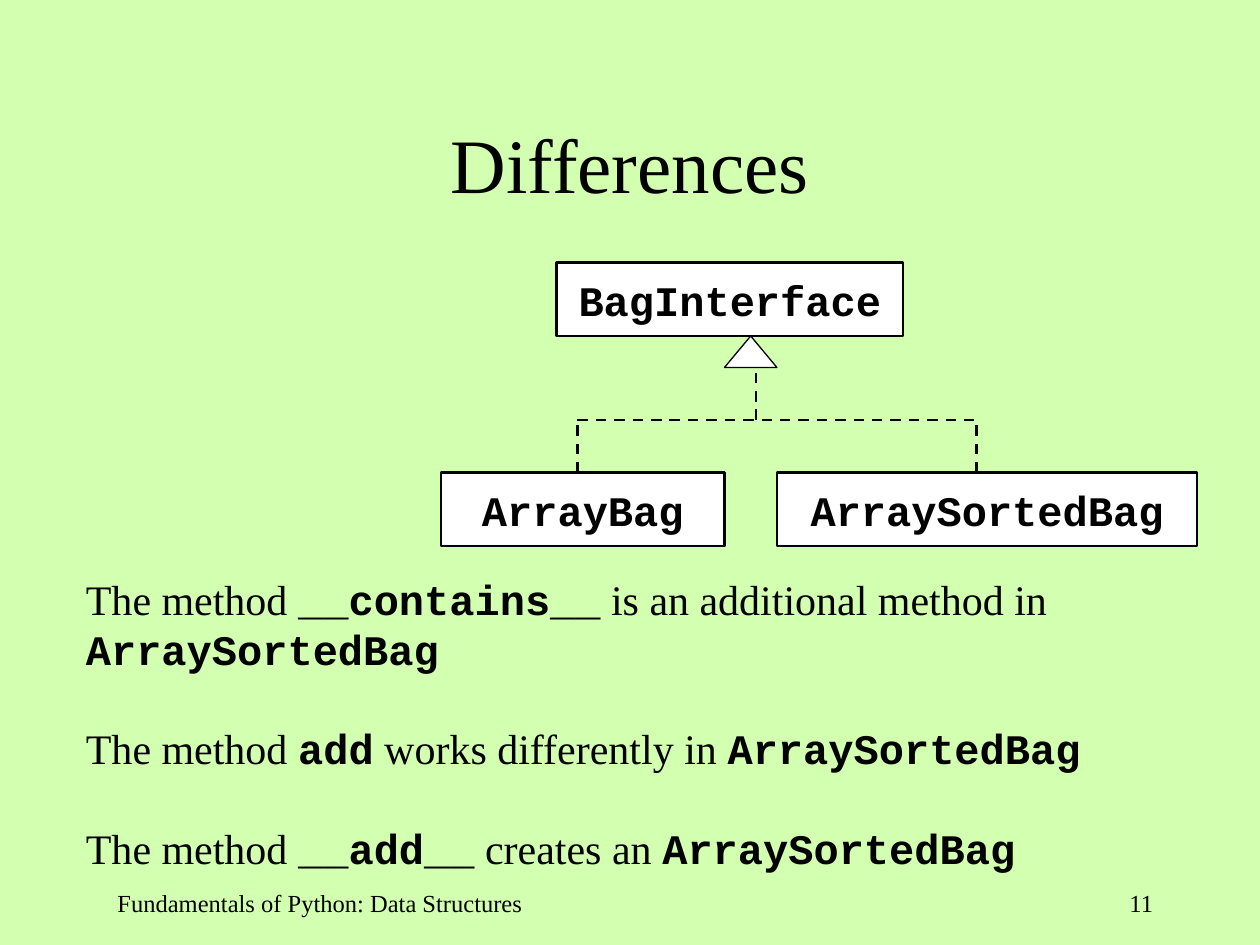
from dataclasses import dataclass
from typing import Any

from lxml.etree import SubElement
from pptx import Presentation
from pptx.dml.color import RGBColor
from pptx.enum.dml import MSO_LINE
from pptx.enum.shapes import MSO_CONNECTOR, MSO_SHAPE
from pptx.enum.text import MSO_ANCHOR, PP_ALIGN
from pptx.oxml.ns import qn
from pptx.util import Inches, Pt


@dataclass(frozen=True)
class Theme:
    back: RGBColor = RGBColor(0xD2, 0xFF, 0xB0)
    ink: RGBColor = RGBColor(0, 0, 0)
    paper: RGBColor = RGBColor(255, 255, 255)
    serif: str = "Times New Roman"
    mono: str = "Courier New"
    head: int = 44
    body: int = 24
    foot: int = 14
    gap: int = 28
    thin: float = 0.75
    thick: float = 1.5


@dataclass
class Page:
    """A slide on a grid of twelve cells to the inch."""
    slide: Any
    theme: Theme

    def cells(self, *marks):
        return [Inches(mark / 12) for mark in marks]

    def style(self, run, size, code=False):
        font = run.font
        font.size = Pt(size)
        font.name = self.theme.mono if code else self.theme.serif
        font.bold = code
        font.color.rgb = self.theme.ink

    def text(self, area, lines, size, align=PP_ALIGN.LEFT, anchor=MSO_ANCHOR.TOP):
        """Write paragraphs; the parts between bars are set as code."""
        frame = self.slide.shapes.add_textbox(*self.cells(*area)).text_frame
        frame.word_wrap = True
        frame.vertical_anchor = anchor
        for i, line in enumerate(lines):
            para = frame.add_paragraph() if i else frame.paragraphs[0]
            para.alignment = align
            if i:
                para.space_before = Pt(self.theme.gap)
            for j, part in enumerate(line.split("|")):
                if part:
                    run = para.add_run()
                    run.text = part
                    self.style(run, size, code=j % 2 == 1)

    def shape(self, kind, area, width):
        shape = self.slide.shapes.add_shape(kind, *self.cells(*area))
        shape.shadow.inherit = False
        shape.fill.solid()
        shape.fill.fore_color.rgb = self.theme.paper
        shape.line.color.rgb = self.theme.ink
        shape.line.width = Pt(width)
        return shape

    def node(self, area, name):
        frame = self.shape(MSO_SHAPE.RECTANGLE, area, self.theme.thick).text_frame
        frame.word_wrap = False
        frame.vertical_anchor = MSO_ANCHOR.MIDDLE
        frame.text = name
        para = frame.paragraphs[0]
        para.alignment = PP_ALIGN.CENTER
        self.style(para.runs[0], self.theme.body, code=True)

    def dash(self, *ends):
        link = self.slide.shapes.add_connector(MSO_CONNECTOR.STRAIGHT, *self.cells(*ends))
        link.line.color.rgb = self.theme.ink
        link.line.width = Pt(self.theme.thick)
        link.line.dash_style = MSO_LINE.DASH
        SubElement(link._element.spPr, qn("a:effectLst"))


def main():
    deck = Presentation()
    deck.slide_width, deck.slide_height = Inches(10), Inches(7.5)
    theme = Theme()
    page = Page(deck.slides.add_slide(deck.slide_layouts[6]), theme)
    fill = page.slide.background.fill
    fill.solid()
    fill.fore_color.rgb = theme.back

    page.text((0, 8, 120, 15), ["Differences"], theme.head,
              PP_ALIGN.CENTER, MSO_ANCHOR.MIDDLE)
    page.text((7, 54, 108, 35), [
        "The method |__contains__| is an additional method in |ArraySortedBag|",
        "The method |add| works differently in |ArraySortedBag|",
        "The method |__add__| creates an |ArraySortedBag|",
    ], theme.body)

    left, stem, right = 55, 72, 93
    base, bar, top = 45, 40, 35
    page.dash(left, bar, right, bar)
    page.dash(stem, bar, stem, top)
    for side in (left, right):
        page.dash(side, base, side, bar)
    page.shape(MSO_SHAPE.ISOSCELES_TRIANGLE, (69, 32, 5, 3), theme.thin)
    tall = 7
    page.node((53, 25, 33, tall), "BagInterface")
    page.node((42, base, 27, tall), "ArrayBag")
    page.node((74, base, 40, tall), "ArraySortedBag")

    page.text((10, 84, 45, 6), ["Fundamentals of Python: Data Structures"], theme.foot)
    page.text((86, 84, 25, 6), ["11"], theme.foot, PP_ALIGN.RIGHT)
    deck.save("out.pptx")


if __name__ == "__main__":
    main()
